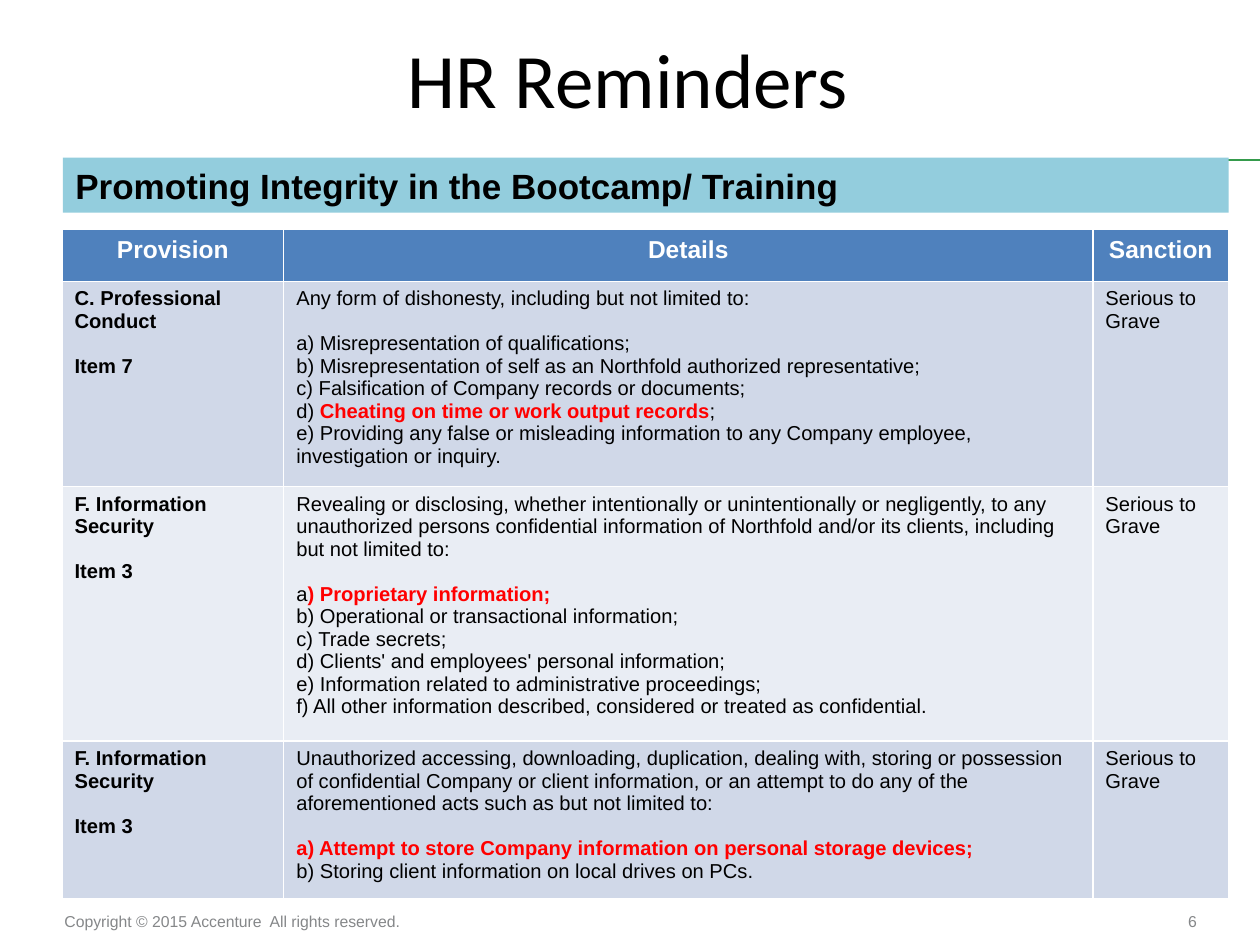
from pptx import Presentation
from pptx.dml.color import RGBColor
from pptx.enum.shapes import MSO_CONNECTOR as Conn, MSO_SHAPE as Shape
from pptx.enum.text import MSO_ANCHOR as Anchor, PP_ALIGN as Align
from pptx.util import Cm, Pt
from lxml.etree import SubElement
from pptx.oxml.ns import qn

BLACK = RGBColor(0x00, 0x00, 0x00)
WHITE = RGBColor(0xFF, 0xFF, 0xFF)
RED = RGBColor(0xFF, 0x00, 0x00)
GREY = RGBColor(0x85, 0x87, 0x89)
GREEN = RGBColor(0x35, 0x9B, 0x4C)
AQUA = RGBColor(0x93, 0xCD, 0xDD)
BLUE = RGBColor(0x4F, 0x81, 0xBD)
BANDS = (RGBColor(0xD0, 0xD8, 0xE8), RGBColor(0xE9, 0xED, 0xF4))

HEADERS = ("Provision", "Details", "Sanction")
COL_WIDTHS = (4.47, 16.31, 2.74)
ROW_HEIGHTS = (1.04, 4.14, 5.13, 3.18)
SANCTION = "Serious to Grave"
PROVISIONS = (
    ("C. Professional Conduct\n\nItem 7",
     "Any form of dishonesty, including but not limited to:\n\n"
     "a) Misrepresentation of qualifications;\n"
     "b) Misrepresentation of self as an Northfold authorized representative;\n"
     "c) Falsification of Company records or documents;\n"
     "d) *Cheating on time or work output records*;\n"
     "e) Providing any false or misleading information to any Company employee, "
     "investigation or inquiry."),
    ("F. Information Security\n\nItem 3",
     "Revealing or disclosing, whether intentionally or unintentionally or negligently, "
     "to any unauthorized persons confidential information of Northfold and/or its "
     "clients, including but not limited to:\n\n"
     "a*) Proprietary information;*\n"
     "b) Operational or transactional information;\n"
     "c) Trade secrets;\n"
     "d) Clients' and employees' personal information;\n"
     "e) Information related to administrative proceedings;\n"
     "f) All other information described, considered or treated as confidential."),
    ("F. Information Security\n\nItem 3",
     "Unauthorized accessing, downloading, duplication, dealing with, storing or "
     "possession of confidential Company or client information, or an attempt to do any "
     "of the aforementioned acts such as but not limited to:\n\n"
     "*a) Attempt to store Company information on personal storage devices;*\n"
     "b) Storing client information on local drives on PCs."),
)


def write(tf, text, size=11.5, font="Arial", color=BLACK, bold=False, align=Align.LEFT):
    """Write lines of text, with a gap between blocks and *marked* words in bold red."""
    tf.word_wrap = True
    p = tf.paragraphs[0]
    for b, block in enumerate(text.split("\n\n")):
        for n, line in enumerate(block.split("\n")):
            if b or n:
                p = tf.add_paragraph()
            if b and not n:
                p.space_before = Pt(size * 1.12)
            p.alignment = align
            for i, part in enumerate(line.split("*")):
                if part:
                    r = p.add_run()
                    r.text = part
                    r.font.size, r.font.name = Pt(size), font
                    r.font.bold = bold or i % 2 == 1
                    r.font.color.rgb = RED if i % 2 else color


def add_title(s, x, y, w, h):
    """Place and format the slide title."""
    sp = s.shapes.title
    sp.left, sp.top, sp.width, sp.height = Cm(x), Cm(y), Cm(w), Cm(h)
    sp.text_frame.vertical_anchor = Anchor.MIDDLE
    write(sp.text_frame, "HR Reminders", size=44, font="Calibri", align=Align.CENTER)


def add_banner(s, x, y, w, h):
    """Draw the subtitle bar over the green rule that runs to the slide edge."""
    rule = s.shapes.add_connector(Conn.STRAIGHT, Cm(x), Cm(y + 0.05), Cm(25.4), Cm(y + 0.05))
    rule.line.color.rgb, rule.line.width = GREEN, Pt(1)
    SubElement(rule._element.spPr, qn("a:effectLst"))
    bar = s.shapes.add_shape(Shape.RECTANGLE, Cm(x), Cm(y), Cm(w), Cm(h))
    bar.shadow.inherit = False
    bar.fill.solid()
    bar.fill.fore_color.rgb = AQUA
    bar.line.fill.background()
    write(bar.text_frame, "Promoting Integrity in the Bootcamp/ Training", size=20, bold=True)


def fill_cell(cell, text, fill, **fmt):
    """Fill one table cell and write its text."""
    cell.fill.solid()
    cell.fill.fore_color.rgb = fill
    write(cell.text_frame, text, **fmt)


def add_provisions(s, x, y, w, h):
    """Build the table of provisions, details and sanctions."""
    table = s.shapes.add_table(len(ROW_HEIGHTS), len(HEADERS), Cm(x), Cm(y), Cm(w), Cm(h)).table
    for col, width in zip(table.columns, COL_WIDTHS):
        col.width = Cm(width)
    for row, height in zip(table.rows, ROW_HEIGHTS):
        row.height = Cm(height)
    for c, header in enumerate(HEADERS):
        fill_cell(table.cell(0, c), header, BLUE, size=14, color=WHITE, bold=True,
                  align=Align.CENTER)
    for r, provision in enumerate(PROVISIONS):
        for c, text in enumerate((*provision, SANCTION)):
            fill_cell(table.cell(r + 1, c), text, BANDS[r % 2], bold=c == 0)


def add_footer(s, x, y, w, h):
    """Place the copyright line at the left and the page number at the right."""
    number_w = 1.5
    for text, left, width, align in (
        ("Copyright © 2015 Accenture  All rights reserved.", x, 7.5, Align.LEFT),
        ("6", x + w - number_w, number_w, Align.RIGHT),
    ):
        tf = s.shapes.add_textbox(Cm(left), Cm(y), Cm(width), Cm(h)).text_frame
        tf.margin_left = tf.margin_right = tf.margin_top = tf.margin_bottom = 0
        tf.vertical_anchor = Anchor.MIDDLE
        write(tf, text, size=9, color=GREY, align=align)


def main():
    """Build and save the slide."""
    prs = Presentation()
    prs.slide_width, prs.slide_height = Cm(25.4), Cm(19.05)
    s = prs.slides.add_slide(prs.slide_layouts[5])
    add_title(s, 1.27, 0.48, 22.78, 2.18)
    add_banner(s, 1.27, 3.18, 23.5, 1.11)
    add_provisions(s, 1.25, 4.63, sum(COL_WIDTHS), sum(ROW_HEIGHTS))
    add_footer(s, 1.3, 18.25, 22.83, 0.66)
    prs.save("out.pptx")


if __name__ == "__main__":
    main()
